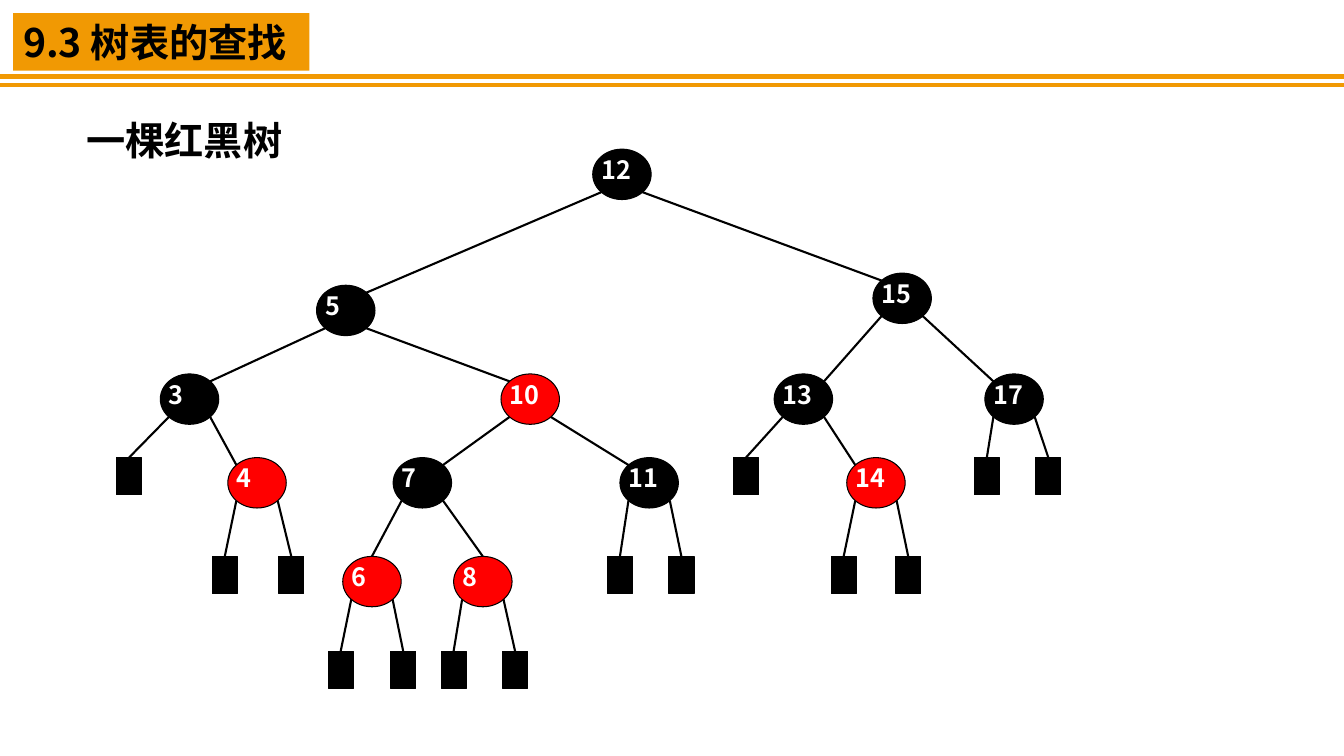
from dataclasses import dataclass
from typing import Optional

from lxml import etree
from pptx import Presentation
from pptx.dml.color import RGBColor
from pptx.enum.shapes import MSO_CONNECTOR, MSO_SHAPE
from pptx.enum.text import MSO_ANCHOR, MSO_AUTO_SIZE, PP_ALIGN
from pptx.oxml.ns import qn
from pptx.util import Inches, Pt

ELLIPSE = MSO_SHAPE.OVAL
RECTANGLE = MSO_SHAPE.RECTANGLE
STRAIGHT = MSO_CONNECTOR.STRAIGHT
LEFT = PP_ALIGN.LEFT
TOP = MSO_ANCHOR.TOP
MIDDLE = MSO_ANCHOR.MIDDLE
NO_AUTOFIT = MSO_AUTO_SIZE.NONE

BLACK = RGBColor(0, 0, 0)
WHITE = RGBColor(255, 255, 255)
RED = RGBColor(255, 0, 0)
ORANGE = RGBColor(0xF1, 0x99, 0x03)

FONT = "Noto Sans CJK SC"
CELL = Inches(0.1)
COLUMNS, ROWS = 133.33, 75
NODE_WIDTH, NODE_HEIGHT = 5.8, 5
LEAF_WIDTH, LEAF_HEIGHT = 2.5, 3.7
DIAGONAL = 0.5 ** 0.5


@dataclass
class Node:
    column: float
    row: float
    key: str = ""
    color: RGBColor = BLACK
    left: Optional["Node"] = None
    right: Optional["Node"] = None
    joins_top: bool = False

    def corner(self, side: int, end: int) -> tuple[float, float]:
        return (self.column + side * DIAGONAL * NODE_WIDTH / 2,
                self.row + (1 + end * DIAGONAL) * NODE_HEIGHT / 2)


LEVELS = (14.8, 28.3, 37.1, 45.4, 55.2, 64.6)


def leaf(column: float, level: int) -> Node:
    return Node(column, LEVELS[level], joins_top=True)


SIX = Node(36.9, LEVELS[4], "6", RED, leaf(33.8, 5), leaf(40, 5), True)
EIGHT = Node(47.9, LEVELS[4], "8", RED, leaf(45, 5), leaf(51.1, 5), True)
SEVEN = Node(41.9, LEVELS[3], "7", BLACK, SIX, EIGHT)
ELEVEN = Node(64.4, LEVELS[3], "11", BLACK, leaf(61.5, 4), leaf(67.6, 4))
TEN = Node(52.6, LEVELS[2], "10", RED, SEVEN, ELEVEN)
FOUR = Node(25.5, LEVELS[3], "4", RED, leaf(22.3, 4), leaf(28.9, 4))
THREE = Node(18.8, LEVELS[2], "3", BLACK, leaf(12.8, 3), FOUR)
FIVE = Node(34.3, LEVELS[1], "5", BLACK, THREE, TEN)
FOURTEEN = Node(86.9, LEVELS[3], "14", RED, leaf(83.7, 4), leaf(90.1, 4))
THIRTEEN = Node(79.7, LEVELS[2], "13", BLACK, leaf(74, 3), FOURTEEN)
SEVENTEEN = Node(100.6, LEVELS[2], "17", BLACK, leaf(97.9, 3), leaf(104, 3))
FIFTEEN = Node(89.5, 27.1, "15", BLACK, THIRTEEN, SEVENTEEN)
ROOT = Node(61.7, LEVELS[0], "12", BLACK, FIVE, FIFTEEN)


def cells(*lengths: float) -> list[int]:
    return [round(length * CELL) for length in lengths]


def format_span(span, size: int, color: RGBColor) -> None:
    span.font.name = FONT
    span.font.size = Pt(size)
    span.font.bold = True
    span.font.color.rgb = color
    east_asian = etree.SubElement(span.font._element, qn("a:ea"))
    east_asian.set("typeface", FONT)


def format_heading(box, text: str,
                   place: tuple[float, float, float, float]) -> None:
    box.left, box.top, box.width, box.height = cells(*place)
    frame = box.text_frame
    frame.text = text
    frame.auto_size = NO_AUTOFIT
    frame.word_wrap = False
    frame.vertical_anchor = MIDDLE
    frame.margin_top = frame.margin_bottom = frame.margin_right = 0
    frame.margin_left = Inches(0.1)
    para = frame.paragraphs[0]
    para.alignment = LEFT
    format_span(para.runs[0], 28, BLACK)


def draw_line(page, start: tuple[float, float], end: tuple[float, float],
              color: RGBColor, weight: float):
    line = page.shapes.add_connector(STRAIGHT, *cells(*start, *end))
    line.line.color.rgb = color
    line.line.width = Pt(weight)
    etree.SubElement(line._element.spPr, qn("a:effectLst"))
    return line


def draw_node(page, node: Node):
    kind, width, height = ((ELLIPSE, NODE_WIDTH, NODE_HEIGHT) if node.key
                           else (RECTANGLE, LEAF_WIDTH, LEAF_HEIGHT))
    box = page.shapes.add_shape(
        kind, *cells(node.column - width / 2, node.row, width, height))
    box.shadow.inherit = False
    box.fill.solid()
    box.fill.fore_color.rgb = node.color
    box.line.color.rgb = BLACK
    box.line.width = Pt(0.75)
    if node.key:
        frame = box.text_frame
        frame.text = node.key
        frame.vertical_anchor = TOP
        frame.margin_left = frame.margin_right = 0
        frame.margin_top = frame.margin_bottom = 0
        para = frame.paragraphs[0]
        para.alignment = LEFT
        para.line_spacing = Pt(20)
        format_span(para.runs[0], 18, WHITE)
    return box


def draw_tree(page, node: Node):
    box = draw_node(page, node)
    for side, child in ((-1, node.left), (1, node.right)):
        if child is None:
            continue
        child_box = draw_tree(page, child)
        edge = draw_line(page, node.corner(side, 1), child.corner(-side, -1),
                         BLACK, 1.5)
        if child.joins_top:
            edge.end_connect(child_box, 0)
    return box


def main() -> None:
    deck = Presentation()
    deck.slide_width, deck.slide_height = cells(COLUMNS, ROWS)
    page = deck.slides.add_slide(deck.slide_layouts[5])

    title = page.shapes.title
    title.fill.solid()
    title.fill.fore_color.rgb = ORANGE
    format_heading(title, "9.3 树表的查找", (1.3, 1.3, 29.4, 5.7))

    for row in (7.6, 8.4):
        draw_line(page, (0, row), (COLUMNS, row), ORANGE, 3)

    caption = page.shapes.add_textbox(0, 0, CELL, CELL)
    format_heading(caption, "一棵红黑树", (7.6, 11, 48.8, 5.7))

    draw_tree(page, ROOT)
    deck.save("out.pptx")


if __name__ == "__main__":
    main()
